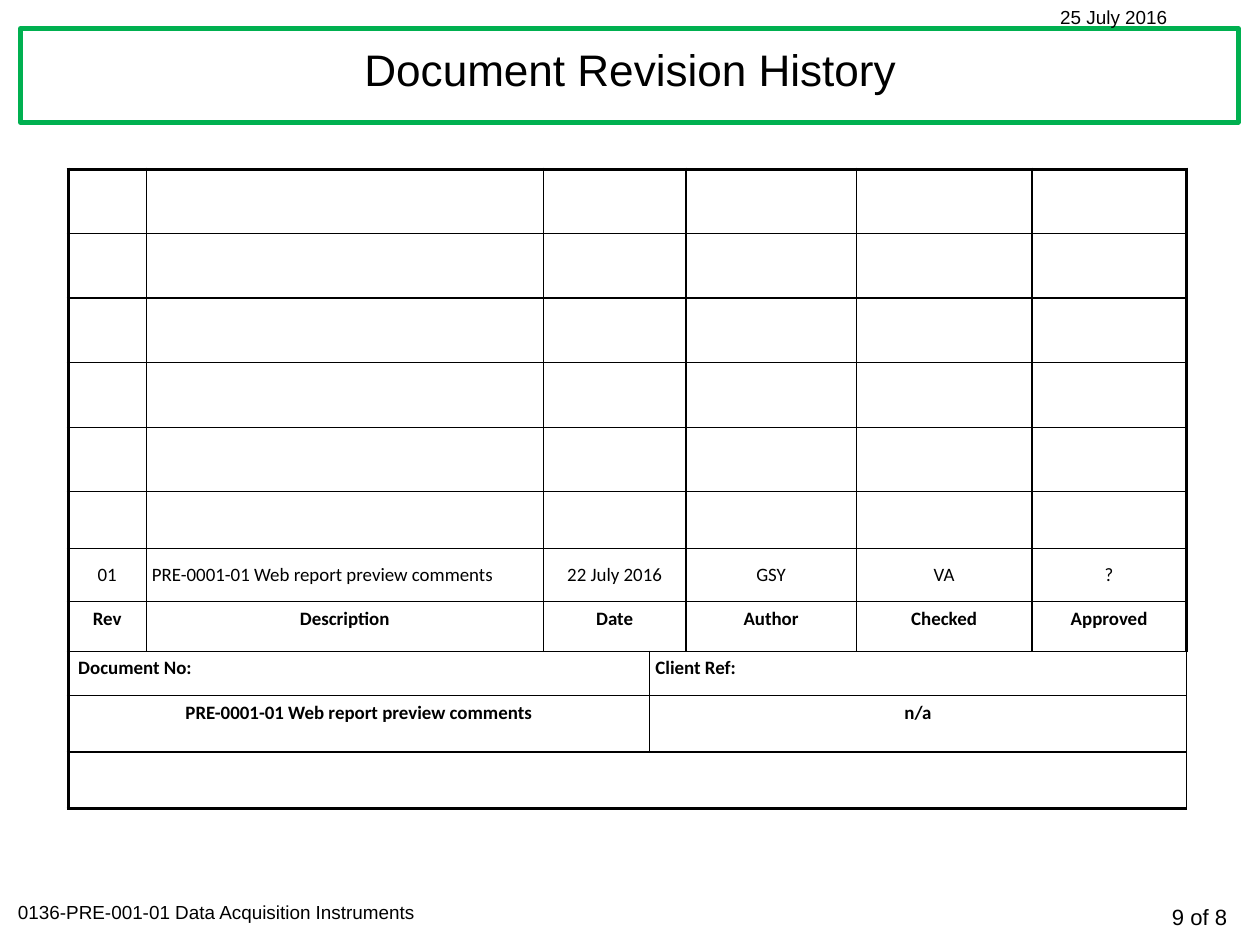
import pptx
import pptx.util
import pptx.dml.color
import pptx.enum.shapes
import pptx.enum.text
import lxml.etree

BLACK = pptx.dml.color.RGBColor(0x00, 0x00, 0x00)
WHITE = pptx.dml.color.RGBColor(0xFF, 0xFF, 0xFF)
GREEN = pptx.dml.color.RGBColor(0x00, 0xB0, 0x50)
WIDE = pptx.util.Inches(11.11)
HIGH = pptx.util.Inches(8.33)
ALIGN = pptx.enum.text.PP_ALIGN
ANCHOR = pptx.enum.text.MSO_ANCHOR
NAME = "PRE-0001-01 Web report preview comments"
COLS = (69, 350, 94, 32, 150, 155, 136)
ROWS = (57,) * 5 + (50, 47, 44, 39, 50, 50)
ENTRY, HEAD, LABEL, VALUE, LAST = range(6, 11)
DATE, SPLIT = 2, 3


def area(left, top, width, height):
    return (int(WIDE * left / 100), int(HIGH * top / 100),
            int(WIDE * width / 100), int(HIGH * height / 100))


def write(frame, text, size=12, font="Arial", bold=False, align=ALIGN.LEFT, space=None):
    para = frame.paragraphs[0]
    para.alignment = align
    para.line_spacing = space
    run = para.add_run()
    run.text = text
    run.font.size = pptx.util.Pt(size)
    run.font.name = font
    run.font.bold = bold
    run.font.color.rgb = BLACK


def add_note(slide, box, text, **style):
    frame = slide.shapes.add_textbox(*box).text_frame
    frame.word_wrap = True
    write(frame, text, **style)


def add_title(slide, box, inner):
    panel = slide.shapes.add_shape(pptx.enum.shapes.MSO_SHAPE.RECTANGLE, *box)
    panel.shadow.inherit = False
    panel.fill.solid()
    panel.fill.fore_color.rgb = WHITE
    panel.line.color.rgb = GREEN
    panel.line.width = pptx.util.Pt(2.75)
    title = slide.shapes.title
    panel.element.addnext(title.element)
    title.left, title.top, title.width, title.height = inner
    frame = title.text_frame
    frame.auto_size = pptx.enum.text.MSO_AUTO_SIZE.NONE
    frame.vertical_anchor = ANCHOR.MIDDLE
    write(frame, "Document Revision History", size=28, align=ALIGN.CENTER, space=0.9)


def add_edge(cell, side, place, thick):
    props = cell._tc.get_or_add_tcPr()
    space = pptx.oxml.ns.nsdecls("a")
    width = pptx.util.Pt(2.25 if thick else 1)
    line = pptx.oxml.parse_xml(
        f'<a:ln{side} {space} w="{width}"><a:solidFill><a:srgbClr val="{BLACK}"/>'
        f'</a:solidFill></a:ln{side}>')
    props.insert(place, line)


def fill_cell(cell, text, align=ALIGN.CENTER, bold=True, anchor=ANCHOR.TOP, left=0.05):
    pad = pptx.util.Inches(0.05)
    cell.margin_right = cell.margin_top = cell.margin_bottom = pad
    cell.margin_left = pptx.util.Inches(left)
    cell.vertical_anchor = anchor
    write(cell.text_frame, text, font="Calibri", bold=bold, align=align)


def add_table(slide, box):
    table = slide.shapes.add_table(len(ROWS), len(COLS), *box).table
    table.first_row = table.horz_banding = False
    for col, share in zip(table.columns, COLS):
        col.width = int(box[2] * share / sum(COLS))
    for row, share in zip(table.rows, ROWS):
        row.height = int(box[3] * share / sum(ROWS))
    end = len(COLS) - 1
    for r in range(len(ROWS)):
        for c in range(len(COLS)):
            cell = table.cell(r, c)
            cell.fill.background()
            edges = (("L", c == 0), ("R", c == end), ("T", r == 0), ("B", r == LAST))
            for place, (side, thick) in enumerate(edges):
                add_edge(cell, side, place, thick)
    for r in range(LABEL):
        table.cell(r, DATE).merge(table.cell(r, SPLIT))
    for r in (LABEL, VALUE):
        table.cell(r, 0).merge(table.cell(r, SPLIT - 1))
        table.cell(r, SPLIT).merge(table.cell(r, end))
    table.cell(LAST, 0).merge(table.cell(LAST, end))

    entry = ("01", NAME, "22 July 2016", "GSY", "VA", "?")
    heads = ("Rev", "Description", "Date", "Author", "Checked", "Approved")
    spots = [c for c in range(len(COLS)) if c != SPLIT]
    for c, text, head in zip(spots, entry, heads):
        align = ALIGN.LEFT if text == NAME else ALIGN.CENTER
        fill_cell(table.cell(ENTRY, c), text, align=align, bold=False, anchor=ANCHOR.MIDDLE)
        fill_cell(table.cell(HEAD, c), head)
    fill_cell(table.cell(LABEL, 0), "Document No:", align=ALIGN.LEFT, left=0.09)
    fill_cell(table.cell(LABEL, SPLIT), "Client Ref:", align=ALIGN.LEFT)
    fill_cell(table.cell(VALUE, 0), NAME)
    fill_cell(table.cell(VALUE, SPLIT), "n/a")


def main():
    deck = pptx.Presentation()
    deck.slide_width, deck.slide_height = WIDE, HIGH
    slide = deck.slides.add_slide(deck.slide_layouts.get_by_name("Title Only"))
    add_title(slide, area(1.62, 3, 96.67, 9.96), area(1.89, 3, 96.22, 9.36))
    add_note(slide, area(84.61, 94.96, 13.68, 4.08), "9 of 8", size=14, align=ALIGN.RIGHT)
    add_note(slide, area(0.54, 94.72, 35.91, 3.6), "0136-PRE-001-01 Data Acquisition Instruments")
    add_note(slide, area(83.26, 0, 15.12, 3.6), "25 July 2016")
    add_table(slide, area(5.4, 17.89, 88.75, 67.7))
    deck.save("out.pptx")


if __name__ == "__main__":
    main()
